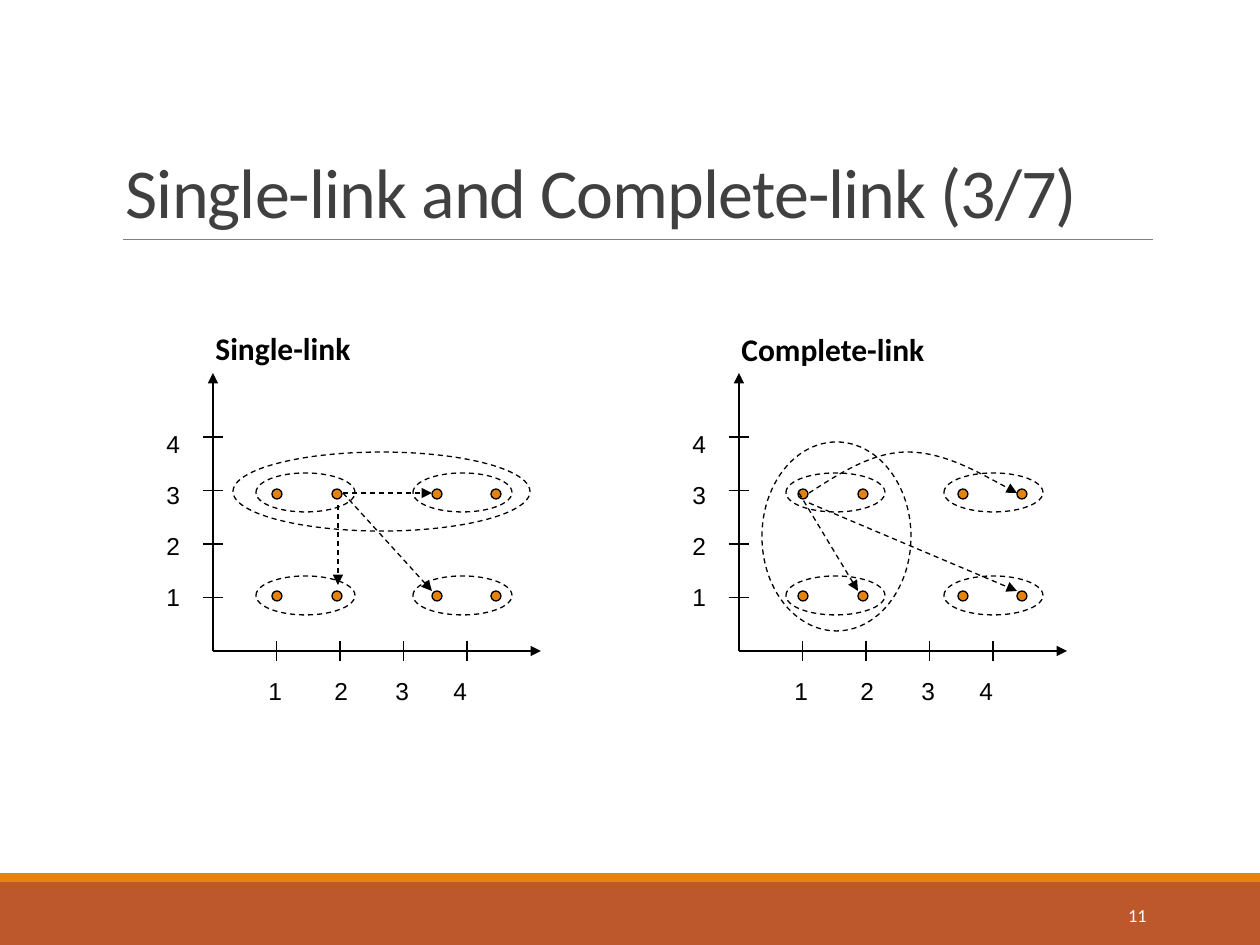
from lxml.etree import SubElement
from pptx import Presentation
from pptx.dml.color import RGBColor
from pptx.enum.dml import MSO_LINE
from pptx.enum.shapes import MSO_CONNECTOR, MSO_SHAPE
from pptx.enum.text import MSO_ANCHOR, MSO_AUTO_SIZE, PP_ALIGN
from pptx.oxml.ns import qn
from pptx.util import Emu, Pt

EMU_PER_PX = 914400 / 126
COLORS = {"ink": "000000", "title": "404040", "rule": "808080", "dot": "E48312",
          "footer": "BD582C", "white": "FFFFFF"}

TITLE = "Single-link and Complete-link (3/7)"
PAGE_NUMBER = "11"

# Horizontal places inside a plot are measured from its vertical axis.
PLOTS = [
    {"name": "Single-link", "axis": 213, "name_box": (-10, 323, 170, 50),
     "pair_lefts": (43, 200), "cluster": (20, 452, 297, 79),
     "arrows": [((130, 493), (219, 493)), ((130, 493), (219, 591)),
                ((125, 505), (125, 585))],
     "curve": None},
    {"name": "Complete-link", "axis": 739, "name_box": (-10, 324, 218, 50),
     "pair_lefts": (47, 205), "cluster": (23, 442, 149, 189),
     "arrows": [((70, 503), (278, 591)), ((60, 493), (119, 591))],
     "curve": [(70, 493), (101, 473), (134, 452), (168, 452),
               (204, 452), (241, 473), (278, 493)]},
]
BASELINE, AXIS_TOP, AXIS_LENGTH = 651, 373, 328
TICK_STEP_X, TICK_STEP_Y, TICK_HALF = 63.5, 53.5, 10
LABEL_LEFTS = (43, 109, 170, 228)
DOT_LEFTS = (59, 119, 219, 278)
ROWS = [{"dot_top": 591, "pair_top": 576}, {"dot_top": 489, "pair_top": 473}]


def px(value):
    return Emu(round(value * EMU_PER_PX))


def color(name):
    return RGBColor.from_string(COLORS[name])


def style_line(line, name="ink", width=0.75, dashed=False, arrow=False):
    line.color.rgb = color(name)
    line.width = Pt(width)
    if dashed:
        line.dash_style = MSO_LINE.DASH
    if arrow:
        SubElement(line._get_or_add_ln(), qn("a:tailEnd"), type="triangle")


def add_line(page, start, end, **line_format):
    connector = page.shapes.add_connector(
        MSO_CONNECTOR.STRAIGHT, *(px(value) for value in (*start, *end)))
    SubElement(connector._element.spPr, qn("a:effectLst"))
    style_line(connector.line, **line_format)
    # The schema wants the line before the effects.
    connector._element.spPr.append(connector._element.spPr.find(qn("a:effectLst")))


def add_shape(page, kind, place, fill=None, outlined=True, dashed=False):
    shape = page.shapes.add_shape(kind, *(px(value) for value in place))
    shape.shadow.inherit = False
    if fill:
        shape.fill.solid()
        shape.fill.fore_color.rgb = color(fill)
    else:
        shape.fill.background()
    if outlined:
        style_line(shape.line, dashed=dashed)
    else:
        shape.line.fill.background()


def write(frame, text, ink, align=PP_ALIGN.LEFT, **font_format):
    frame.text = text
    para = frame.paragraphs[0]
    para.alignment = align
    span = para.runs[0]
    span.font.color.rgb = color(ink)
    for key, value in font_format.items():
        setattr(span.font, key, value)
    return para


def add_label(page, place, text, **font_format):
    box = page.shapes.add_textbox(*(px(value) for value in place))
    box.text_frame.word_wrap = False
    box.text_frame.auto_size = MSO_AUTO_SIZE.SHAPE_TO_FIT_TEXT
    write(box.text_frame, text, "ink", **font_format)


def add_curve(page, points):
    """Draw an open cubic curve through every third point."""
    start, *ends = points[::3]
    builder = page.shapes.build_freeform(*start, scale=EMU_PER_PX)
    builder.add_line_segments(ends, close=False)
    shape = builder.convert_to_shape()
    shape.shadow.inherit = False
    shape.fill.background()
    style_line(shape.line, dashed=True, arrow=True)
    left = min(x for x, _ in points)
    top = min(y for _, y in points)
    for index, segment in enumerate(list(shape._element.iter(qn("a:lnTo")))):
        segment_path = segment.getparent()
        bezier = SubElement(segment_path, qn("a:cubicBezTo"))
        for x, y in points[3 * index + 1:3 * index + 4]:
            SubElement(bezier, qn("a:pt"), x=str(x - left), y=str(y - top))
        segment_path.remove(segment)


def add_frame(page):
    add_shape(page, MSO_SHAPE.RECTANGLE, (0, 882, 1260, 63), "footer", outlined=False)
    add_shape(page, MSO_SHAPE.RECTANGLE, (0, 873, 1260, 9), "dot", outlined=False)
    add_line(page, (123, 239), (1153, 239), name="rule", width=0.5)

    number = page.shapes.add_textbox(px(1023), px(890), px(136), px(50))
    number.text_frame.word_wrap = True
    number.text_frame.vertical_anchor = MSO_ANCHOR.MIDDLE
    write(number.text_frame, PAGE_NUMBER, "white", PP_ALIGN.RIGHT,
          size=Pt(10.5), name="Calibri")

    title = page.shapes.title
    title.left, title.top, title.width, title.height = map(px, (113, 39, 1040, 200))
    title.text_frame.vertical_anchor = MSO_ANCHOR.BOTTOM
    title.text_frame.auto_size = MSO_AUTO_SIZE.NONE
    para = write(title.text_frame, TITLE, "title", size=Pt(40), name="Calibri")
    para.line_spacing = 0.85
    para.runs[0].font._element.set("spc", "-50")


def add_plot(page, plot):
    axis = plot["axis"]
    number_format = {"size": Pt(14), "name": "Arial"}
    add_line(page, (axis, BASELINE), (axis, AXIS_TOP), arrow=True)
    add_line(page, (axis, BASELINE), (axis + AXIS_LENGTH, BASELINE), arrow=True)
    for value, label_left in enumerate(LABEL_LEFTS, start=1):
        x = axis + TICK_STEP_X * value
        y = BASELINE - TICK_STEP_Y * value
        add_line(page, (x, BASELINE - TICK_HALF), (x, BASELINE + TICK_HALF))
        add_line(page, (axis - TICK_HALF, y), (axis + TICK_HALF, y))
        add_label(page, (axis + label_left, 670, 39, 42), str(value), **number_format)
        add_label(page, (axis - 59, 627 - 51 * value, 39, 42), str(value),
                  **number_format)

    left, *rest = plot["name_box"]
    add_label(page, (axis + left, *rest), plot["name"],
              size=Pt(18), name="Calibri", bold=True)

    for row in ROWS:
        for left in DOT_LEFTS:
            add_shape(page, MSO_SHAPE.OVAL, (axis + left, row["dot_top"], 10, 10), "dot")
        for left in plot["pair_lefts"]:
            add_shape(page, MSO_SHAPE.OVAL, (axis + left, row["pair_top"], 99, 39),
                      dashed=True)

    for (x1, y1), (x2, y2) in plot["arrows"]:
        add_line(page, (axis + x1, y1), (axis + x2, y2), dashed=True, arrow=True)
    if plot["curve"]:
        add_curve(page, [(axis + x, y) for x, y in plot["curve"]])
    left, *rest = plot["cluster"]
    add_shape(page, MSO_SHAPE.OVAL, (axis + left, *rest), dashed=True)


def main():
    deck = Presentation()
    deck.slide_width, deck.slide_height = px(1260), px(945)
    page = deck.slides.add_slide(deck.slide_layouts[5])
    add_frame(page)
    for plot in PLOTS:
        add_plot(page, plot)
    deck.save("out.pptx")


if __name__ == "__main__":
    main()
